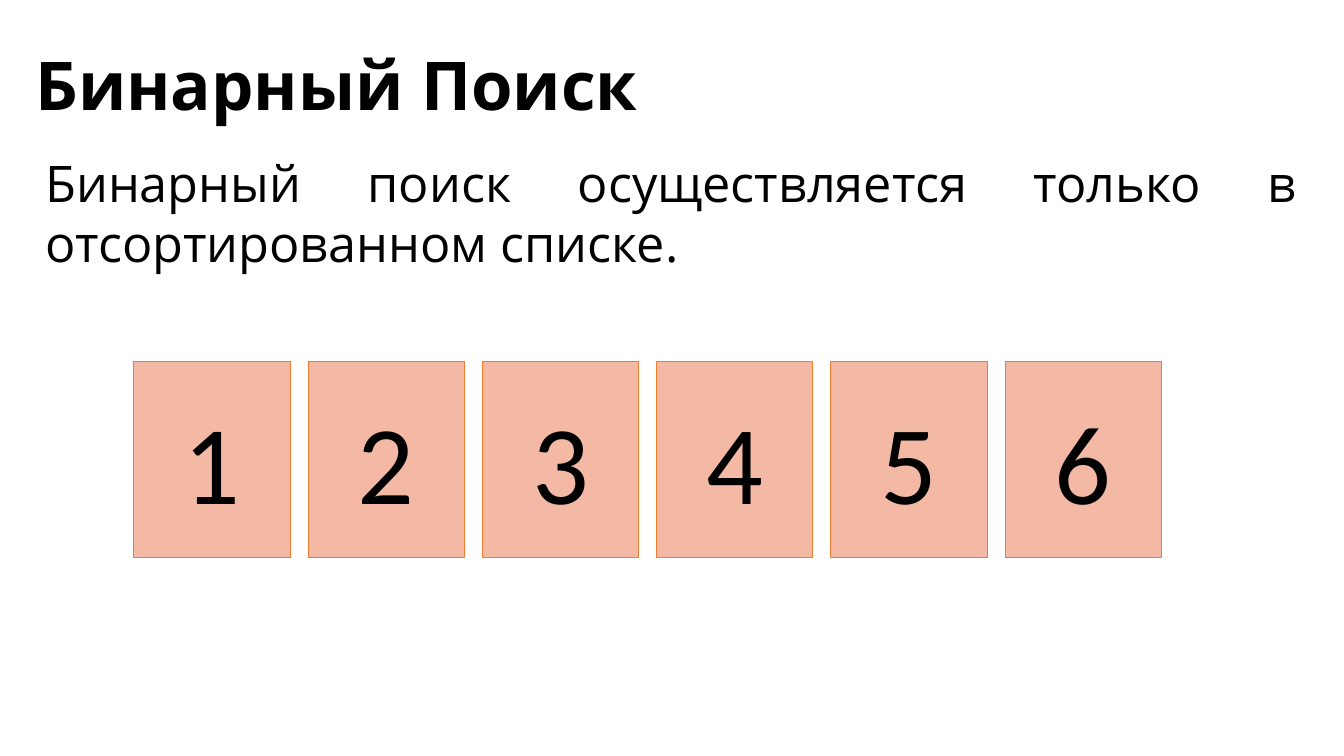
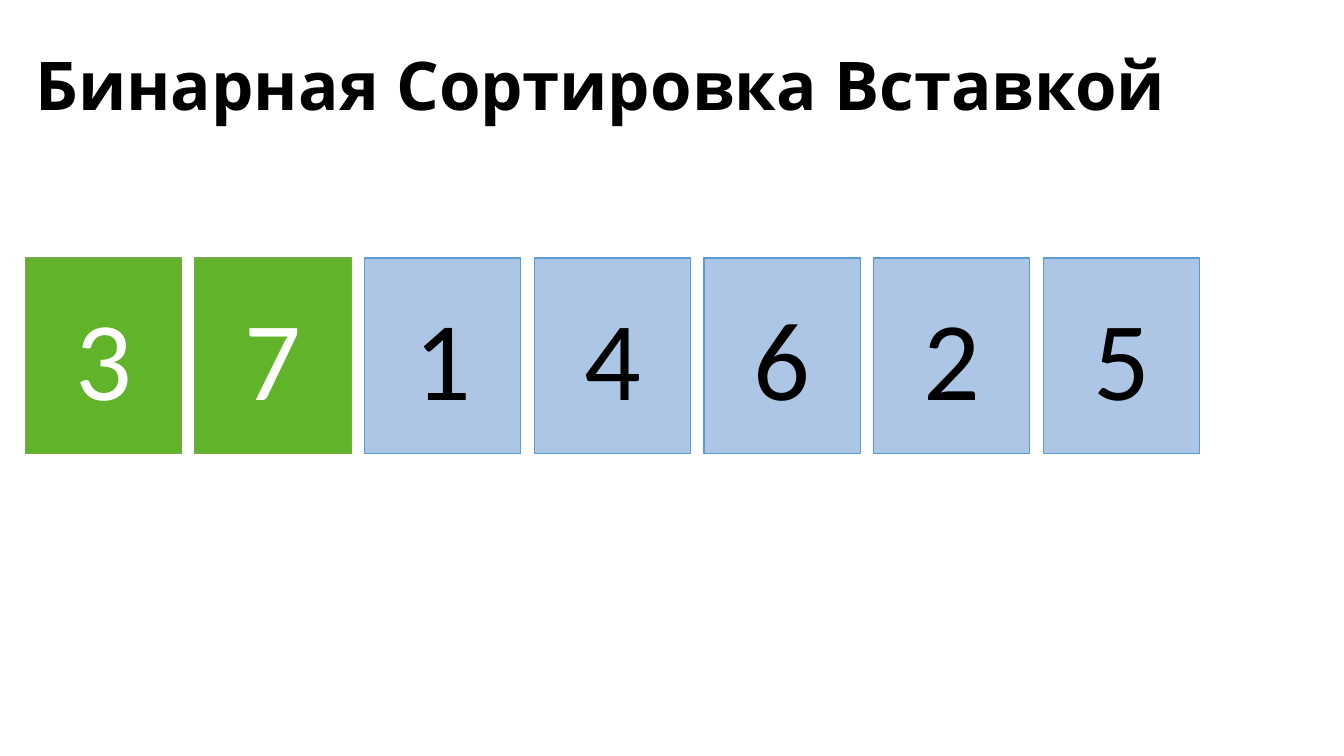
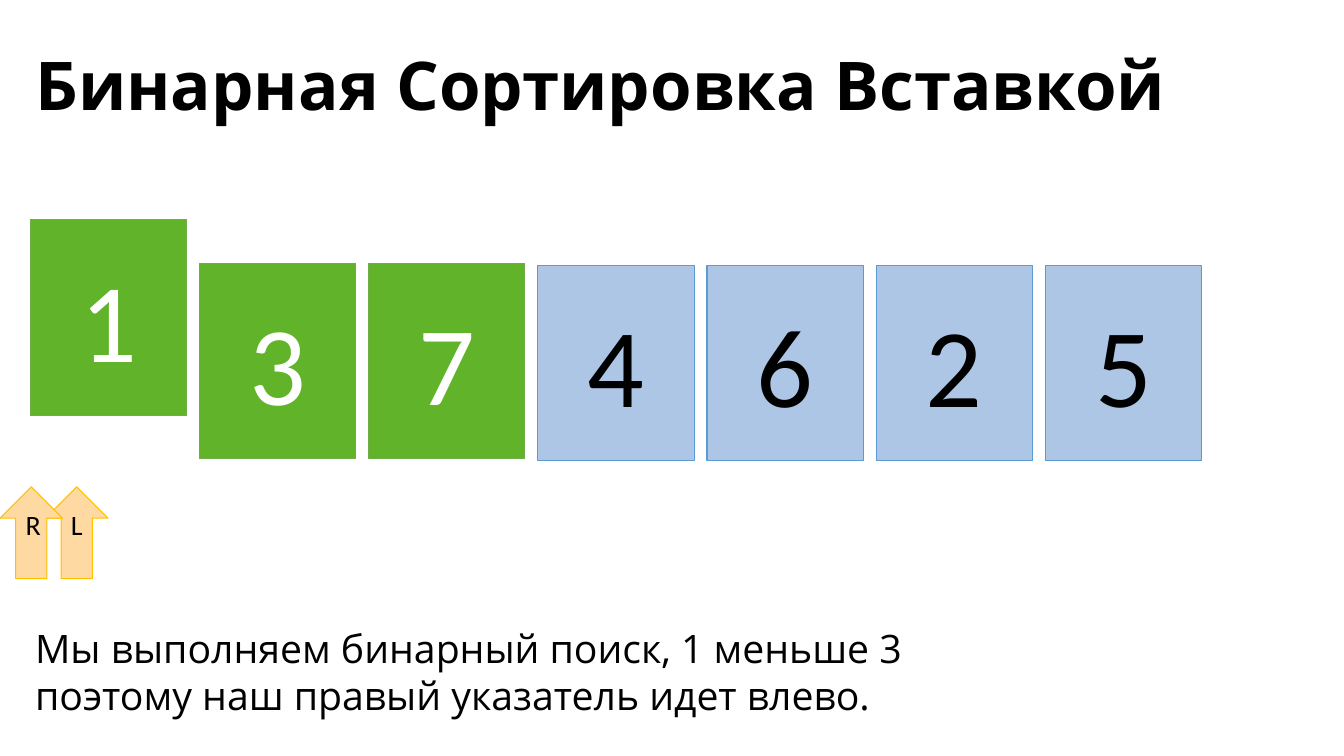
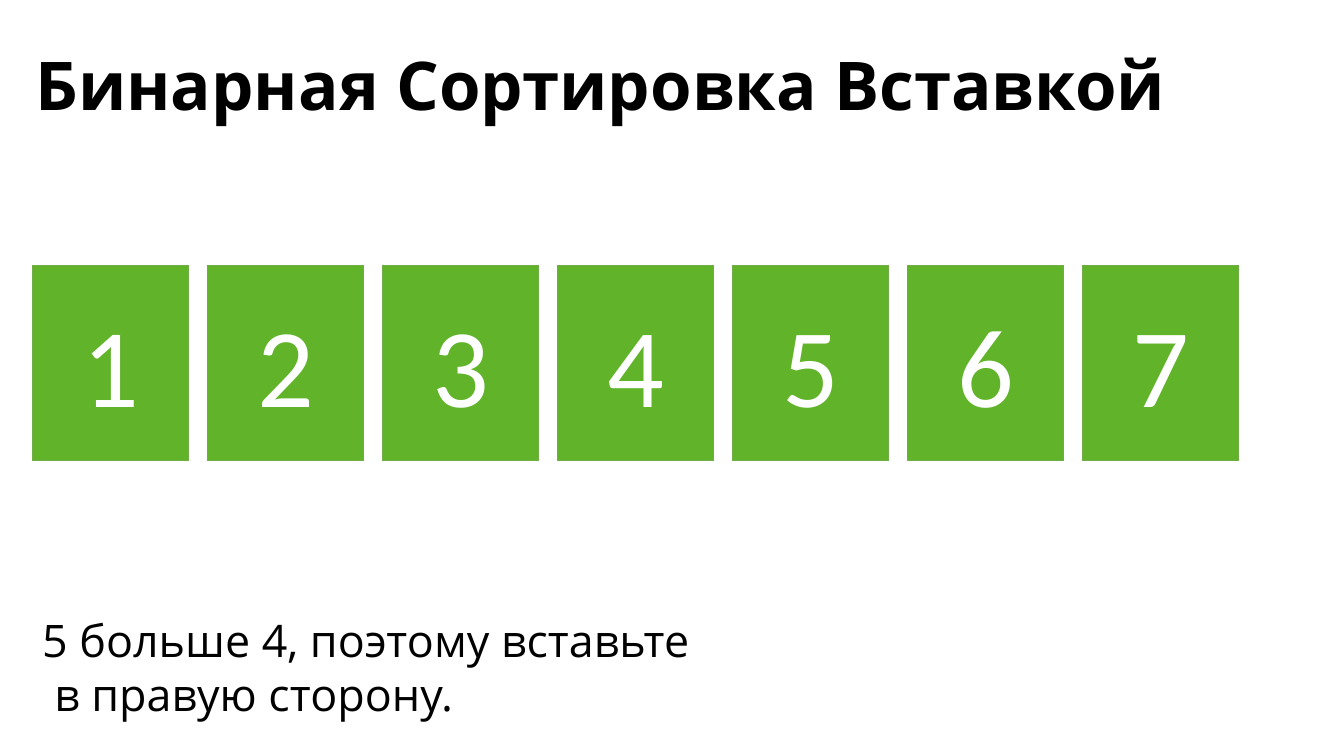
from pptx import Presentation
from pptx.dml.color import RGBColor
from pptx.enum.shapes import MSO_SHAPE
from pptx.enum.text import MSO_ANCHOR, PP_ALIGN
from pptx.util import Inches, Pt

# Shared look
COLORS = {
    "text": "000000", "white": "FFFFFF",
    "peach": "F3B9A4", "peach_line": "ED7D31",
    "green": "61B429", "green_line": "70AD47",
    "blue": "ADC6E5", "blue_line": "5B9BD5",
    "sand": "FFD9A2", "sand_line": "FFC000",
}
TITLE = {"name": "Open Sans", "size": Pt(48), "bold": True}
DIGIT = {"name": "Calibri", "size": Pt(80)}
POINTER = {"name": "Calibri", "size": Pt(20)}
SLIDE_W, SLIDE_H = Inches(13.333), Inches(7.5)

# Sizes and places are percentages of the slide's width and height
TITLE_AREA = (1.88, 3.87, 96, 13.33)
CARD_W, CARD_H = 11.63, 25.87
POINTER_W, POINTER_H = 4.65, 12.13
POINTER_TOP = 64.4


def area(left, top, width, height):
    """Turn percentages of the slide into lengths."""
    return (int(SLIDE_W * left / 100), int(SLIDE_H * top / 100),
            int(SLIDE_W * width / 100), int(SLIDE_H * height / 100))


def rgb(name):
    return RGBColor.from_string(COLORS[name])


def write(p, text, fmt, color="text"):
    r = p.add_run()
    r.text = text
    for key, value in fmt.items():
        setattr(r.font, key, value)
    r.font.color.rgb = rgb(color)


def add_text(s, place, lines, fmt, wrap=True, align=PP_ALIGN.LEFT):
    tf = s.shapes.add_textbox(*area(*place)).text_frame
    tf.word_wrap = wrap
    for i, line in enumerate(lines):
        p = tf.add_paragraph() if i else tf.paragraphs[0]
        p.alignment = align
        write(p, line, fmt)
    return tf


def add_body(s, place, lines, size, **options):
    return add_text(s, place, lines, {"name": "Open Sans", "size": Pt(size)},
                    **options)


def add_figure(s, kind, place, fill, text, fmt, color="text"):
    sp = s.shapes.add_shape(kind, *area(*place))
    sp.shadow.inherit = False
    sp.fill.solid()
    sp.fill.fore_color.rgb = rgb(fill)
    sp.line.color.rgb = rgb(fill + "_line")
    sp.line.width = Pt(0.75)
    p = sp.text_frame.paragraphs[0]
    p.alignment = PP_ALIGN.CENTER
    write(p, text, fmt, color)
    return sp


def add_cards(s, digits, fills, first, last, tops):
    """Spread equal cards between the first and last left edges."""
    pitch = (last - first) / (len(digits) - 1)
    for i, (digit, fill, top) in enumerate(zip(digits, fills, tops)):
        place = (first + i * pitch, top, CARD_W, CARD_H)
        color = "white" if fill == "green" else "text"
        add_figure(s, MSO_SHAPE.RECTANGLE, place, fill, digit, DIGIT, color)


def add_pointer(s, left, label):
    place = (left, POINTER_TOP, POINTER_W, POINTER_H)
    sp = add_figure(s, MSO_SHAPE.UP_ARROW, place, "sand", label, POINTER)
    sp.text_frame.vertical_anchor = MSO_ANCHOR.TOP


def add_slide(prs, title):
    s = prs.slides.add_slide(prs.slide_layouts[6])
    tf = add_text(s, TITLE_AREA, [title], TITLE)
    tf.vertical_anchor = MSO_ANCHOR.BOTTOM
    tf.paragraphs[0].line_spacing = 0.9
    return s


def main():
    prs = Presentation()
    prs.slide_width, prs.slide_height = SLIDE_W, SLIDE_H
    sorting = "Бинарная Сортировка Вставкой"

    # Binary search
    s = add_slide(prs, "Бинарный Поиск")
    add_cards(s, "123456", ["peach"] * 6, 9.97, 74.78, [47.87] * 6)
    add_body(s, (2.63, 19.47, 94.57, 17.47),
             ["Бинарный поиск осуществляется только в отсортированном списке."],
             36, align=PP_ALIGN.JUSTIFY)

    # Two cards sorted
    s = add_slide(prs, sorting)
    add_cards(s, "3714625", ["green"] * 2 + ["blue"] * 5,
              1.88, 77.63, [34.13] * 7)

    # Inserting the third card
    s = add_slide(prs, sorting)
    add_cards(s, "1374625", ["green"] * 3 + ["blue"] * 4,
              2.25, 77.78, [29.07] + [34.8] * 2 + [35.07] * 4)
    add_pointer(s, 3.38, "L")
    add_pointer(s, 0, "R")
    add_body(s, (1.88, 81.87, 66.68, 13.87),
             ["Мы выполняем бинарный поиск, 1 меньше 3",
              "поэтому наш правый указатель идет влево."], 28, wrap=False)

    # All cards sorted
    s = add_slide(prs, sorting)
    add_cards(s, "1234567", ["green"] * 7, 2.4, 80.55, [35.07] * 7)
    tf = add_body(s, (2.4, 80.4, 50.48, 15.73),
                  ["5 больше 4, поэтому вставьте", "в правую сторону."],
                  32, wrap=False)
    indent = Inches(0.12)
    tf.paragraphs[1]._p.get_or_add_pPr().set("marL", str(indent))

    prs.save("out.pptx")


if __name__ == "__main__":
    main()
